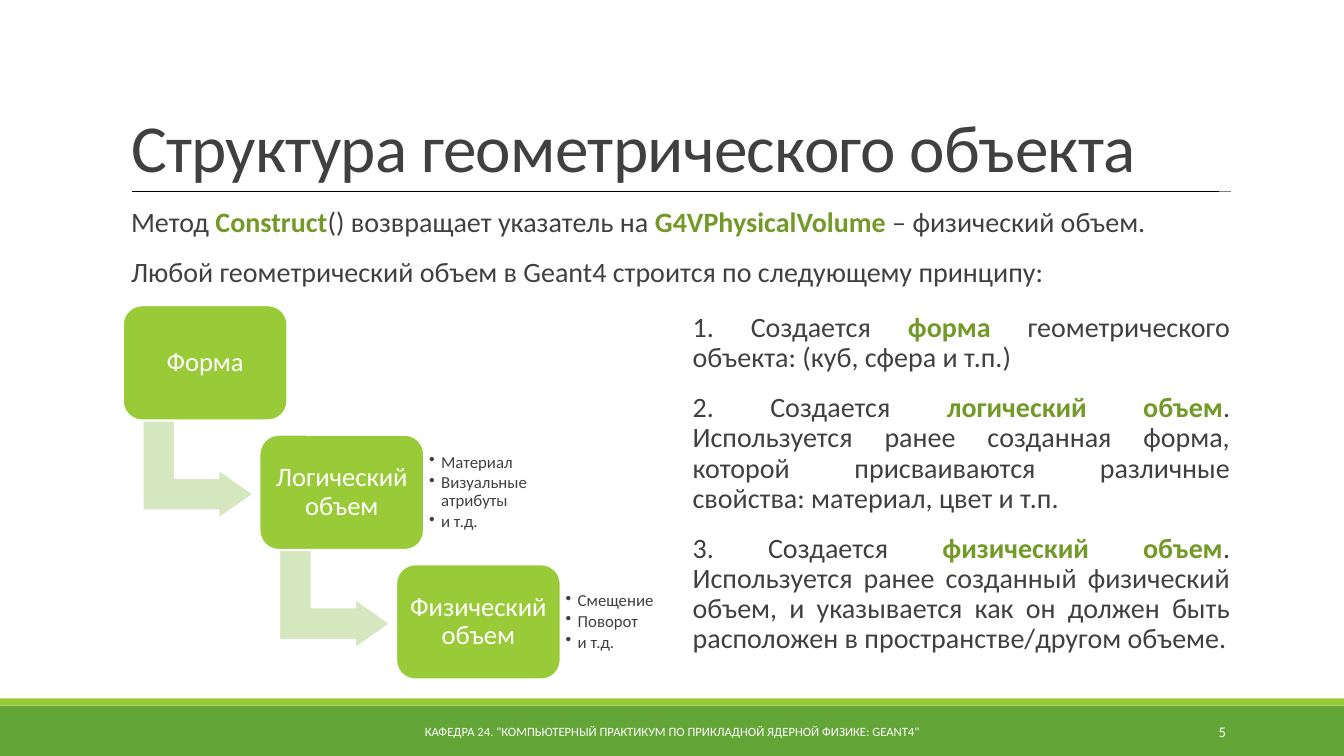
from dataclasses import dataclass

from pptx import Presentation
from pptx.dml.color import RGBColor
from pptx.enum.shapes import MSO_CONNECTOR, MSO_SHAPE
from pptx.enum.text import MSO_ANCHOR, MSO_AUTO_SIZE, PP_ALIGN
from pptx.oxml.ns import qn
from pptx.util import Inches, Pt


@dataclass(frozen=True)
class Theme:
    font: str = "Calibri"
    text: str = "404040"
    accent: str = "739A28"
    lime: str = "99CB38"
    green: str = "63A537"
    pale: str = "D4E7BF"
    white: str = "FFFFFF"
    rule: str = "808080"
    black: str = "000000"
    title: float = 48
    body: float = 20
    node: float = 19
    bullet: float = 12
    number: float = 10.5
    footer: float = 9


T = Theme()

INTRO = [
    "Метод **Construct**() возвращает указатель на **G4VPhysicalVolume** – физический объем.",
    "Любой геометрический объем в Geant4 строится по следующему принципу:",
]
STEPS = [
    "1. Создается **форма** геометрического объекта: (куб, сфера и т.п.)",
    "2. Создается **логический объем**. Используется ранее созданная форма, "
    "которой присваиваются различные свойства: материал, цвет и т.п.",
    "3. Создается **физический объем**. Используется ранее созданный физический объем, "
    "и указывается как он должен быть расположен в пространстве/другом объеме.",
]
NODES = [
    ("Форма", []),
    ("Логический объем", ["Материал", "Визуальные атрибуты", "и т.д."]),
    ("Физический объем", ["Смещение", "Поворот", "и т.д."]),
]
FOOTER = 'КАФЕДРА 24. "КОМПЬЮТЕРНЫЙ ПРАКТИКУМ ПО ПРИКЛАДНОЙ ЯДЕРНОЙ ФИЗИКЕ: GEANT4"'


def style_run(r, size, color, bold=False):
    r.font.name = T.font
    r.font.size = Pt(size)
    r.font.bold = bold
    r.font.color.rgb = RGBColor.from_string(color)


def style_frame(tf, margin_x, margin_y, anchor=MSO_ANCHOR.TOP):
    tf.word_wrap = True
    tf.auto_size = MSO_AUTO_SIZE.NONE
    tf.vertical_anchor = anchor
    tf.margin_left = tf.margin_right = Inches(margin_x)
    tf.margin_top = tf.margin_bottom = Inches(margin_y)


def add_text(s, box, text, size, color, align):
    tf = s.shapes.add_textbox(*map(Inches, box)).text_frame
    style_frame(tf, 0.1, 0.05, MSO_ANCHOR.MIDDLE)
    tf.text = text
    p = tf.paragraphs[0]
    p.alignment = align
    style_run(p.runs[0], size, color)


def add_block(s, kind, box, fill, outline=None):
    sp = s.shapes.add_shape(kind, *map(Inches, box))
    sp.shadow.inherit = False
    sp.fill.solid()
    sp.fill.fore_color.rgb = RGBColor.from_string(fill)
    if outline:
        sp.line.color.rgb = RGBColor.from_string(outline)
        sp.line.width = Pt(1.25)
    else:
        sp.line.fill.background()
    return sp


def add_rule(s, x1, x2, y, color, width):
    c = s.shapes.add_connector(
        MSO_CONNECTOR.STRAIGHT, Inches(x1), Inches(y), Inches(x2), Inches(y))
    c.line.color.rgb = RGBColor.from_string(color)
    c.line.width = Pt(width)
    spPr = c._element.spPr
    spPr.append(spPr.makeelement(qn("a:effectLst"), {}))


def add_title(s, box, text):
    x, y, w, h = box
    sp = s.shapes.title
    sp.left, sp.top, sp.width, sp.height = map(Inches, box)
    tf = sp.text_frame
    style_frame(tf, 0.1, 0.05, MSO_ANCHOR.BOTTOM)
    tf.text = text
    p = tf.paragraphs[0]
    p.alignment = PP_ALIGN.LEFT
    p.line_spacing = 0.85
    style_run(p.runs[0], T.title, T.text)
    p.runs[0].font._element.set("spc", "-50")
    add_rule(s, x + 0.11, x + w + 0.01, y + h, T.rule, 0.5)
    add_rule(s, x + 0.11, x + w - 0.11, y + h, T.black, 1)


def add_prose(s, box, paragraphs, align):
    tf = s.shapes.add_textbox(*map(Inches, box)).text_frame
    style_frame(tf, 0, 0.05)
    for i, text in enumerate(paragraphs):
        p = tf.add_paragraph() if i else tf.paragraphs[0]
        p.alignment = align
        p.line_spacing = 0.9
        p.space_before, p.space_after = Pt(12), Pt(2)
        p._p.get_or_add_pPr().set("marL", str(Inches(0.1)))
        for j, part in enumerate(text.split("**")):
            r = p.add_run()
            r.text = part
            strong = j % 2 == 1
            style_run(r, T.body, T.accent if strong else T.text, strong)


def add_bullets(s, box, items):
    tf = s.shapes.add_textbox(*map(Inches, box)).text_frame
    style_frame(tf, 0.05, 0.05, MSO_ANCHOR.MIDDLE)
    tf.text = "\n".join(items)
    for p in tf.paragraphs:
        p.line_spacing = 0.9
        p.space_after = Pt(1.8)
        pPr = p._p.get_or_add_pPr()
        pPr.set("marL", str(Inches(0.12)))
        pPr.set("indent", str(-Inches(0.12)))
        pPr.append(pPr.makeelement(qn("a:buChar"), {"char": "•"}))
        style_run(p.runs[0], T.bullet, T.text)


def add_staircase(s, box, nodes):
    left, top, width, height = box
    node_w, node_h = 1.63, 1.14
    last = len(nodes) - 1
    dx = (width - node_w) / last
    dy = (height - node_h) / last
    for i, (name, items) in enumerate(nodes):
        x, y = left + i * dx, top + i * dy
        if i < last:
            arrow = add_block(s, MSO_SHAPE.BENT_UP_ARROW,
                              (x + 0.26, y + 1.08, 0.97, 1.1), T.pale, T.white)
            arrow.rotation = 90
            for k, value in enumerate((0.328, 0.25, 0.358)):
                arrow.adjustments[k] = value
        sp = add_block(s, MSO_SHAPE.ROUNDED_RECTANGLE, (x, y, node_w, node_h), T.lime, T.white)
        style_frame(sp.text_frame, 0.07, 0.08, MSO_ANCHOR.MIDDLE)
        sp.text_frame.text = name
        p = sp.text_frame.paragraphs[0]
        p.alignment = PP_ALIGN.CENTER
        p.line_spacing = 0.9
        style_run(p.runs[0], T.node, T.white)
        if items:
            add_bullets(s, (x + node_w, y + 0.11, 1.19, 0.92), items)


def add_footer(s, box, text, number):
    x, y, w, h = box
    add_block(s, MSO_SHAPE.RECTANGLE, (x, y + 0.07, w, h - 0.07), T.green)
    add_block(s, MSO_SHAPE.RECTANGLE, (x, y, w, 0.07), T.lime)
    add_text(s, (x + 4.03, y + 0.13, 5.27, 0.4), text, T.footer, T.white, PP_ALIGN.CENTER)
    add_text(s, (x + 10.83, y + 0.13, 1.43, 0.4), number, T.number, T.white, PP_ALIGN.RIGHT)


def main():
    prs = Presentation()
    prs.slide_width, prs.slide_height = Inches(13.33), Inches(7.5)
    s = prs.slides.add_slide(prs.slide_layouts[5])
    add_footer(s, (0, 6.93, 13.33, 0.57), FOOTER, "5")
    add_title(s, (1.2, 0.31, 11, 1.59), "Структура геометрического объекта")
    add_prose(s, (1.2, 2.02, 11, 0.93), INTRO, PP_ALIGN.LEFT)
    add_staircase(s, (1.22, 3.03, 4.34, 3.71), NODES)
    add_prose(s, (6.77, 3.06, 5.43, 3.7), STEPS, PP_ALIGN.JUSTIFY)
    prs.save("out.pptx")


if __name__ == "__main__":
    main()
